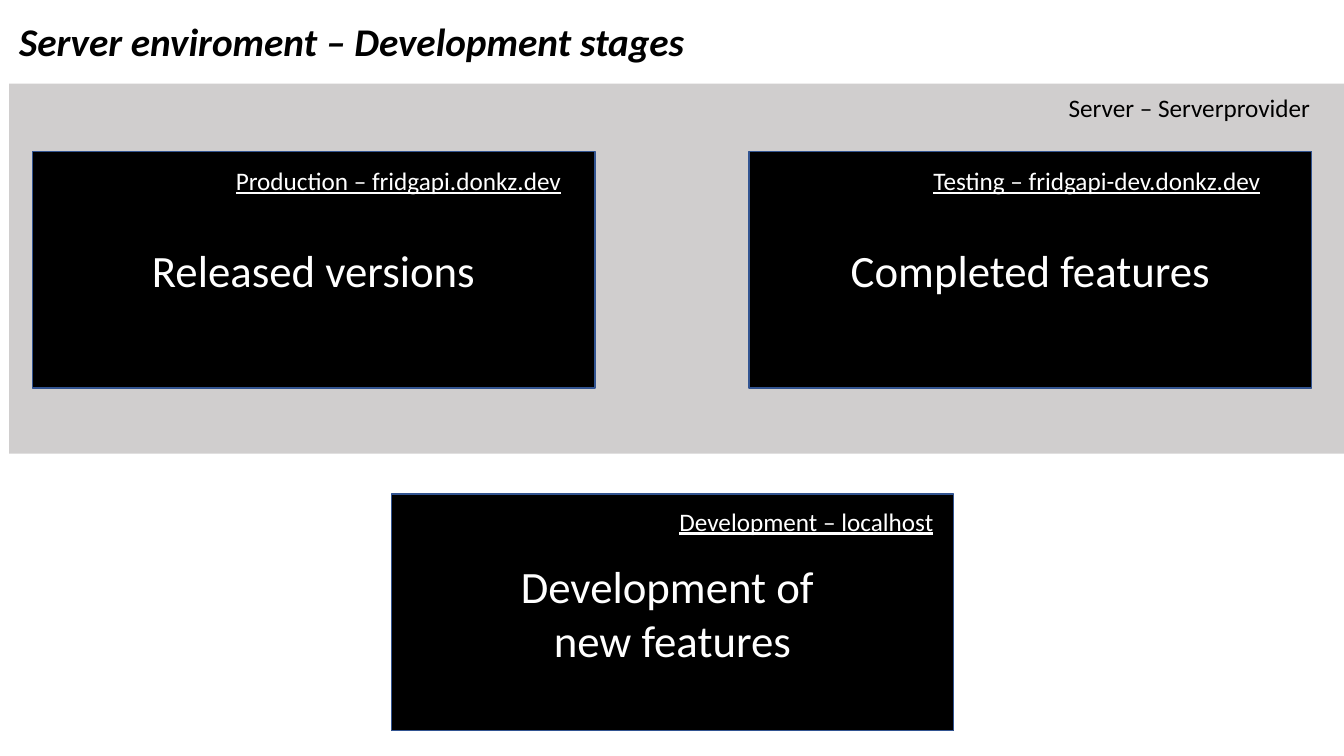
from pptx import Presentation
from pptx.dml.color import RGBColor
from pptx.enum.shapes import MSO_SHAPE as Shape
from pptx.enum.text import MSO_ANCHOR as Anchor, MSO_AUTO_SIZE as Fit, PP_ALIGN as Align
from pptx.util import Inches, Pt

BLACK = RGBColor(0x00, 0x00, 0x00)
WHITE = RGBColor(0xFF, 0xFF, 0xFF)
GREY = RGBColor(0xD0, 0xCE, 0xCE)
BLUE = RGBColor(0x32, 0x54, 0x91)

# Box left and top, label left and top, label, content
STAGES = [
    (0.32, 1.5, 2.24, 1.59, "Production – fridgapi.donkz.dev", "Released versions"),
    (7.43, 1.5, 9.16, 1.59, "Testing – fridgapi-dev.donkz.dev", "Completed features"),
    (3.88, 4.9, 6.64, 4.97, "Development – localhost", "Development of \nnew features"),
]


def style(frame, text, size, color, align=Align.LEFT, **marks):
    """Fill a text frame; marks are font flags such as bold or underline."""
    frame.text = text
    frame.word_wrap = True
    for para in frame.paragraphs:
        para.alignment = align
        for run in para.runs:
            font = run.font
            font.name, font.size = "Calibri", Pt(size)
            font.color.rgb = color
            for mark, value in marks.items():
                setattr(font, mark, value)


def add_title(slide, text):
    title = slide.shapes.title
    title.left, title.top = Inches(0.09), Inches(0.12)
    title.width, title.height = Inches(8.33), Inches(0.57)
    frame = title.text_frame
    style(frame, text, 28, BLACK, bold=True, italic=True)
    frame.vertical_anchor = Anchor.TOP
    frame.auto_size = Fit.NONE


def add_rect(slide, left, top, width, height, fill):
    rect = slide.shapes.add_shape(
        Shape.RECTANGLE, Inches(left), Inches(top), Inches(width), Inches(height))
    rect.shadow.inherit = False
    rect.fill.solid()
    rect.fill.fore_color.rgb = fill
    rect.line.fill.background()
    return rect


def add_label(slide, left, top, width, text, color, **marks):
    box = slide.shapes.add_textbox(
        Inches(left), Inches(top), Inches(width), Inches(0.4))
    style(box.text_frame, text, 18, color, **marks)


def add_stage(slide, left, top, tag_left, tag_top, tag, text):
    box = add_rect(slide, left, top, 5.58, 2.35, BLACK)
    box.line.color.rgb = BLUE
    box.line.width = Pt(1)
    box.text_frame.vertical_anchor = Anchor.MIDDLE
    style(box.text_frame, text, 32, WHITE, Align.CENTER)
    add_label(slide, tag_left, tag_top, 4.01, tag, WHITE, underline=True)


def main():
    deck = Presentation()
    deck.slide_width, deck.slide_height = Inches(13.33), Inches(7.5)
    slide = deck.slides.add_slide(deck.slide_layouts[5])
    add_title(slide, "Server enviroment – Development stages")
    add_rect(slide, 0.09, 0.83, 13.24, 3.67, GREY)
    add_label(slide, 10.5, 0.87, 2.75, "Server – Serverprovider", BLACK)
    for stage in STAGES:
        add_stage(slide, *stage)
    deck.save("out.pptx")


if __name__ == "__main__":
    main()
